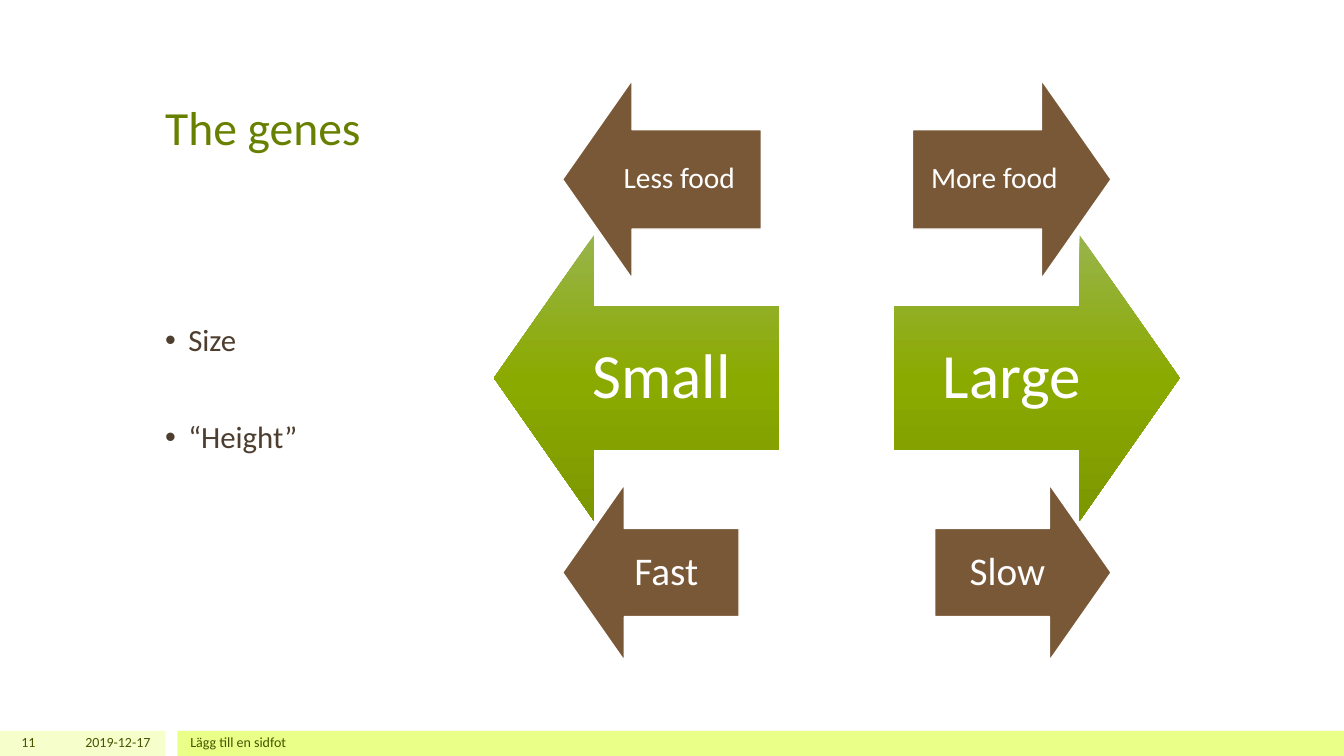
"""Build the slide on size genes, with three pairs of opposed arrows."""
from copy import deepcopy
from lxml.etree import SubElement
from pptx import Presentation
from pptx.dml.color import RGBColor
from pptx.enum.shapes import MSO_SHAPE
from pptx.enum.text import MSO_ANCHOR, PP_ALIGN
from pptx.oxml.ns import qn
from pptx.util import Inches, Pt

WHITE = RGBColor(0xFF, 0xFF, 0xFF)
OLIVE = RGBColor(0x68, 0x80, 0x00)
MOSS = RGBColor(0x45, 0x55, 0x00)
EARTH = RGBColor(0x4D, 0x3E, 0x2F)
BROWN = RGBColor(0x79, 0x58, 0x37)
PALE = RGBColor(0xF6, 0xFF, 0xCC)
LIME = RGBColor(0xE9, 0xFF, 0x88)
GREENS = [
    (0, RGBColor(0x98, 0xB4, 0x4B)),
    (0.5, RGBColor(0x8B, 0xAA, 0x00)),
    (1, RGBColor(0x7C, 0x97, 0x00)),
]

WIDE, HIGH = 13.33, 7.5
FOOT = 0.25
FONT = "Calibri"
TITLE = "The genes"
GENES = ["Size", "“Height”"]
BARS = [(0, 1.64, PALE), (1.76, WIDE - 1.76, LIME)]
NOTES = [
    ("11", 0, 0.45, PP_ALIGN.RIGHT),
    ("2019-12-17", 0.5, 1.09, PP_ALIGN.RIGHT),
    ("Lägg till en sidfot", 1.79, 10, PP_ALIGN.LEFT),
]
AXIS = 8.3
SHAFT, HEAD = 0.5, 0.35
# label pair, arrow size, reach from axis, middle height, text size, inset, fill
PAIRS = [
    (("Small", "Large"), 2.83, 3.4, 3.75, 45, 0.35, None),
    (("Fast", "Slow"), 1.75, 2.72, 5.68, 28, 0.22, BROWN),
    (("Less food", "More food"), 1.97, 2.72, 1.78, 21, 0.16, BROWN),
]


def add_part(slide, kind, box, fill=None):
    part = slide.shapes.add_shape(kind, *map(Inches, box))
    part.shadow.inherit = False
    part.line.fill.background()
    if fill is not None:
        part.fill.solid()
        part.fill.fore_color.rgb = fill
    return part


def add_run(para, text, size, color):
    run = para.add_run()
    run.text = text
    run.font.name = FONT
    run.font.size = Pt(size)
    run.font.color.rgb = color


def add_frame(slide, box, anchor=MSO_ANCHOR.MIDDLE):
    frame = slide.shapes.add_textbox(*map(Inches, box)).text_frame
    frame.word_wrap = True
    frame.vertical_anchor = anchor
    return frame


def add_label(slide, box, text, size, color, align, anchor=MSO_ANCHOR.MIDDLE):
    frame = add_frame(slide, box, anchor)
    para = frame.paragraphs[0]
    para.alignment = align
    para.line_spacing = 0.9
    add_run(para, text, size, color)
    return frame


def add_genes(slide):
    frame = add_frame(slide, (1.54, 1.7, 5.04, 5.05), MSO_ANCHOR.TOP)
    frame.margin_top = Inches(1.52)
    for row, gene in enumerate(GENES):
        para = frame.add_paragraph() if row else frame.paragraphs[0]
        para.line_spacing = 0.9
        para.space_before = Pt(46 * row)
        props = para._p.get_or_add_pPr()
        props.set("marL", str(Inches(0.23)))
        props.set("indent", str(-Inches(0.23)))
        SubElement(props, qn("a:buFont"), typeface="Arial")
        SubElement(props, qn("a:buChar"), char="•")
        add_run(para, gene, 22, EARTH)


def shade(part):
    part.fill.gradient()
    stops = next(part._element.iter(qn("a:gsLst")))
    stops.append(deepcopy(stops[0]))
    for stop, (place, color) in zip(part.fill.gradient_stops, GREENS):
        stop.position = place
        stop.color.rgb = color
    part.fill.gradient_angle = 270


def add_pair(slide, labels, size, reach, mid, points, inset, fill):
    lefts = (AXIS - reach, AXIS + reach - size)
    kinds = (MSO_SHAPE.LEFT_ARROW, MSO_SHAPE.RIGHT_ARROW)
    trim = size * HEAD / 2
    for text, left, kind, shift in zip(labels, lefts, kinds, (trim, 0)):
        arrow = add_part(slide, kind, (left, mid - size / 2, size, size), fill)
        arrow.adjustments[0], arrow.adjustments[1] = SHAFT, HEAD
        if fill is None:
            shade(arrow)
        else:
            arrow.line.color.rgb = WHITE
            arrow.line.width = Pt(1)
        tall = size * SHAFT
        box = (left + shift, mid - tall / 2, size - trim, tall)
        frame = add_label(slide, box, text, points, WHITE, PP_ALIGN.CENTER)
        frame.margin_left = frame.margin_right = Inches(inset)
        frame.margin_top = frame.margin_bottom = Inches(inset)


def main():
    deck = Presentation()
    deck.slide_width, deck.slide_height = Inches(WIDE), Inches(HIGH)
    slide = deck.slides.add_slide(deck.slide_layouts[6])
    base = HIGH - FOOT
    for left, width, color in BARS:
        add_part(slide, MSO_SHAPE.RECTANGLE, (left, base, width, FOOT), color)
    add_label(slide, (1.54, 0.3, 10.25, 1.29), TITLE, 34, OLIVE,
              PP_ALIGN.LEFT, MSO_ANCHOR.BOTTOM)
    add_genes(slide)
    for pair in PAIRS:
        add_pair(slide, *pair)
    for text, left, width, align in NOTES:
        add_label(slide, (left, base, width, FOOT), text, 10, MOSS, align)
    deck.save("out.pptx")


if __name__ == "__main__":
    main()
